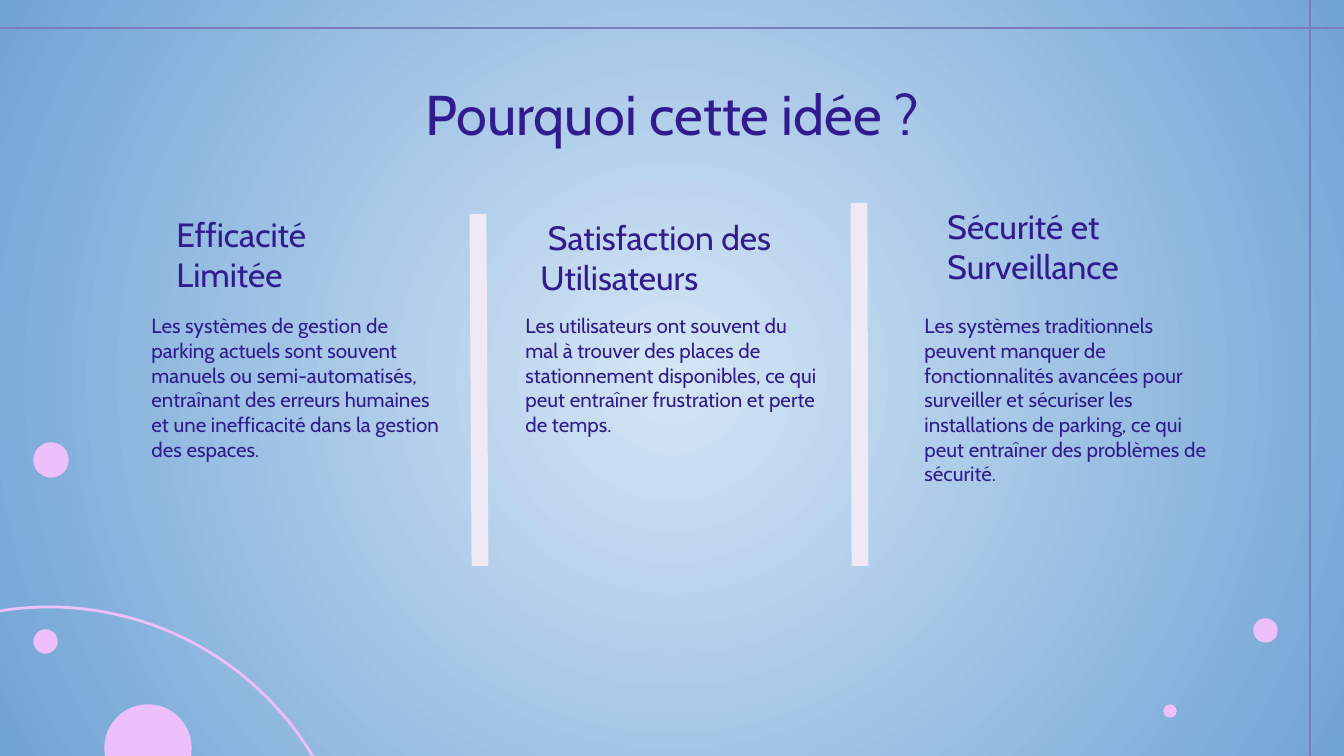
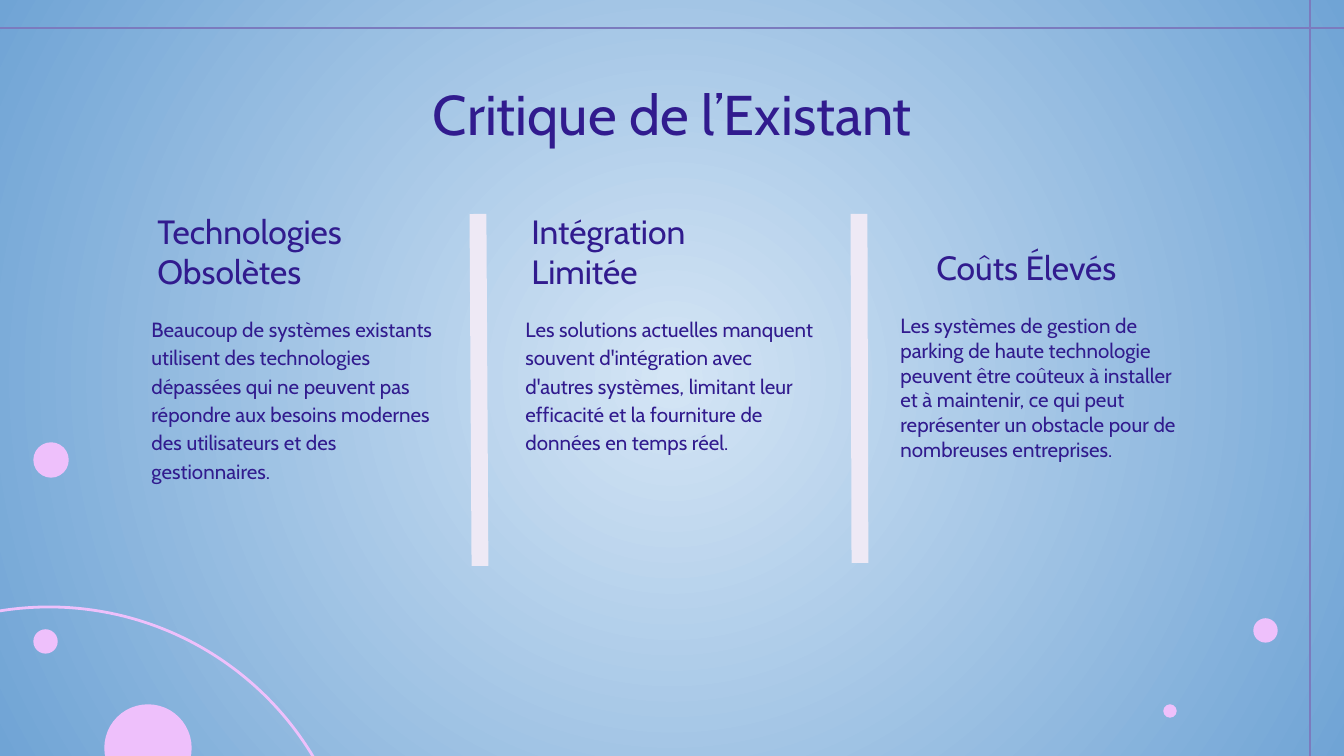
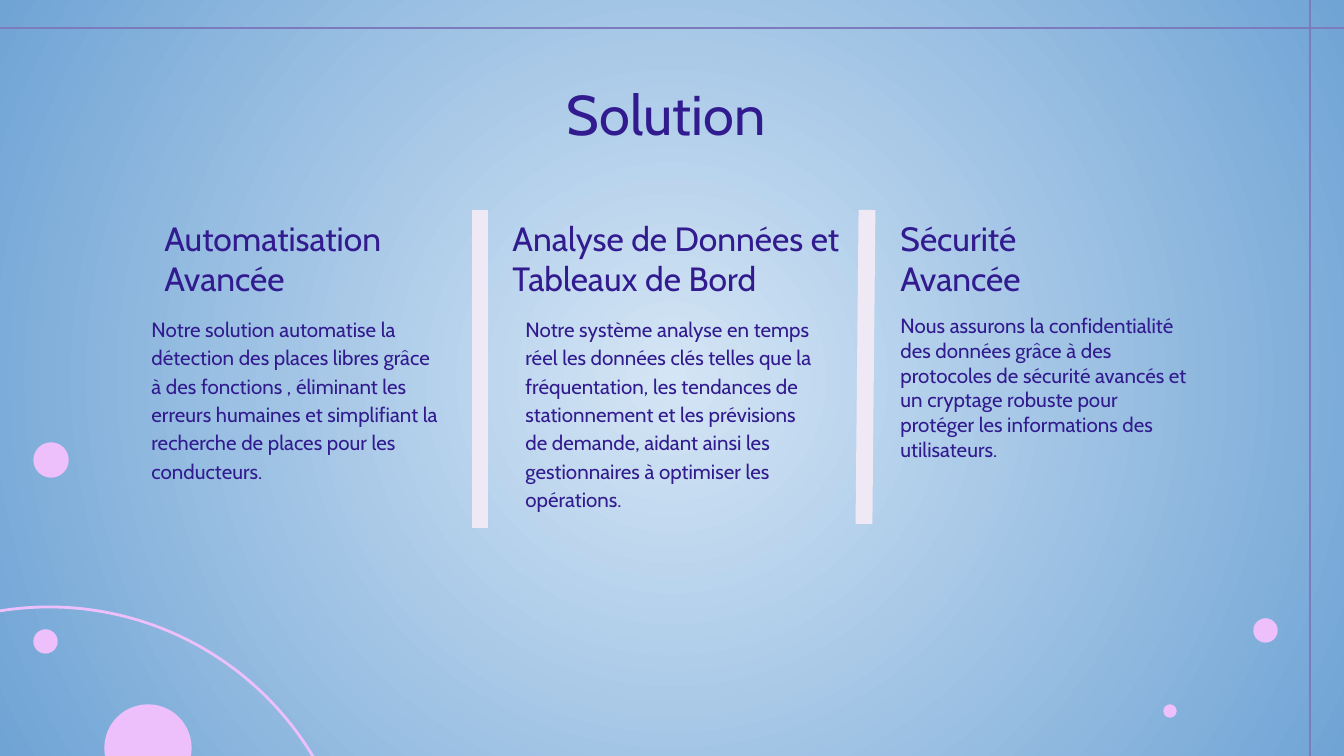
import copy
from dataclasses import dataclass

import pptx
import pptx.dml.color
import pptx.enum.shapes
import pptx.enum.text
import pptx.oxml
import pptx.oxml.ns
import pptx.util


@dataclass(frozen=True)
class Theme:
    font: str = "Cabin"
    ink: str = "311B8E"
    pink: str = "EEC0FB"
    frame: str = "7B7BBE"
    rule: str = "EEE9F5"
    inner: str = "D4E5F5"
    outer: str = "70A4D5"
    title: int = 30
    head: int = 18
    body: int = 11


theme = Theme()
rgb = pptx.dml.color.RGBColor.from_string
qn = pptx.oxml.ns.qn
Pt = pptx.util.Pt
anchors = pptx.enum.text.MSO_ANCHOR
aligns = pptx.enum.text.PP_ALIGN


def px(*sizes):
    return [round(size * 914400 / 134.4) for size in sizes]


def draw_line(slide, ends, color, width):
    kind = pptx.enum.shapes.MSO_CONNECTOR.STRAIGHT
    line = slide.shapes.add_connector(kind, *px(*ends))
    line.line.color.rgb = rgb(color)
    line.line.width = Pt(width)
    pptx.oxml.ns  # namespaces come from the library
    line.element.spPr.append(line.element.spPr.makeelement(qn("a:effectLst"), {}))
    return line


# Each column: heading, its box, text, left edge, height, line spacing
pages = [
    ("Pourquoi cette idée ?",
     [(478, 214, 480, 566), (859, 203, 860, 566)],
     [("Efficacité Limitée", (163, 216, 208, 92),
       "Les systèmes de gestion de parking actuels sont souvent manuels ou "
       "semi-automatisés, entraînant des erreurs humaines et une inefficacité "
       "dans la gestion des espaces.", 138, 297, 1.0),
      (" Satisfaction des Utilisateurs", (527, 214, 261, 97),
       "Les utilisateurs ont souvent du mal à trouver des places de "
       "stationnement disponibles, ce qui peut entraîner frustration et perte "
       "de temps.", 512, 297, 1.0),
      ("Sécurité et Surveillance", (934, 203, 227, 97),
       "Les systèmes traditionnels peuvent manquer de fonctionnalités avancées "
       "pour surveiller et sécuriser les installations de parking, ce qui peut "
       "entraîner des problèmes de sécurité.", 911, 297, 1.0)]),
    ("Critique de l’Existant",
     [(478, 214, 480, 566), (859, 214, 860, 563)],
     [("Technologies Obsolètes", (144, 203, 238, 102),
       "Beaucoup de systèmes existants utilisent des technologies dépassées qui "
       "ne peuvent pas répondre aux besoins modernes des utilisateurs et des "
       "gestionnaires.", 138, 297, 1.15),
      ("Intégration Limitée", (518, 203, 232, 102),
       "Les solutions actuelles manquent souvent d'intégration avec d'autres "
       "systèmes, limitant leur efficacité et la fourniture de données en temps "
       "réel.", 512, 297, 1.15),
      ("Coûts Élevés", (923, 199, 212, 102),
       "Les systèmes de gestion de parking de haute technologie peuvent être "
       "coûteux à installer et à maintenir, ce qui peut représenter un obstacle "
       "pour de nombreuses entreprises.", 887, 297, 1.0)]),
    ("Solution ",
     [(480, 210, 480, 528), (867, 210, 864, 524)],
     [("Automatisation Avancée", (151, 210, 263, 102),
       "Notre solution automatise la détection des places libres grâce à des "
       "fonctions , éliminant les erreurs humaines et simplifiant la recherche "
       "de places pour les conducteurs.", 138, 297, 1.15),
      ("Analyse de Données et Tableaux de Bord", (499, 245, 375, 67),
       "Notre système analyse en temps réel les données clés telles que la "
       "fréquentation, les tendances de stationnement et les prévisions de "
       "demande, aidant ainsi les gestionnaires à optimiser les opérations.",
       512, 456, 1.15),
      ("Sécurité Avancée", (887, 245, 241, 67),
       "Nous assurons la confidentialité des données grâce à des protocoles de "
       "sécurité avancés et un cryptage robuste pour protéger les informations "
       "des utilisateurs.", 887, 297, 1.0)]),
]

deck = pptx.Presentation()
deck.slide_width, deck.slide_height = px(1344, 756)

# Layout: a title and six text placeholders, numbered 1 to 6
layout = deck.slide_layouts[4]
tree = layout.shapes.element
base = None
for holder in list(layout.placeholders):
    number = holder.placeholder_format.idx
    if number == 1:
        base = holder.element
    elif number in (2, 3, 4):
        tree.remove(holder.element)
for number in range(2, 7):
    clone = copy.deepcopy(base)
    clone.find(".//" + qn("p:ph")).set("idx", str(number))
    tree.append(clone)

# Radial background
fill = layout.background.fill
fill.gradient()
for stop, color, place in zip(fill.gradient_stops, (theme.inner, theme.outer), (0, 1)):
    stop.color.rgb = rgb(color)
    stop.position = place
grad = layout.element.find(".//" + qn("a:gradFill"))
grad.remove(grad.find(qn("a:lin")))
grad.append(pptx.oxml.parse_xml(
    '<a:path xmlns:a="http://schemas.openxmlformats.org/drawingml/2006/main" path="circle">'
    '<a:fillToRect l="50000" t="50000" r="50000" b="50000"/></a:path>'))

# Slides
for title, rules, columns in pages:
    slide = deck.slides.add_slide(layout)
    parts = [(0, title, (106, 66, 1133, 85), theme.title, anchors.TOP, aligns.CENTER, 1.0)]
    for col, (head, area, body, left, height, space) in enumerate(columns):
        parts.append((2 * col + 1, head, area, theme.head,
                      anchors.BOTTOM, aligns.LEFT, 1.0))
        parts.append((2 * col + 2, body, (left, 300, 320, height), theme.body,
                      anchors.TOP, aligns.LEFT, space))
    for number, text, area, size, anchor, align, space in parts:
        holder = slide.placeholders[number]
        holder.left, holder.top, holder.width, holder.height = px(*area)
        frame = holder.text_frame
        frame.text = text
        frame.word_wrap = True
        frame.auto_size = pptx.enum.text.MSO_AUTO_SIZE.NONE
        frame.vertical_anchor = anchor
        frame.margin_left = frame.margin_right = pptx.util.Inches(0.1)
        frame.margin_top = frame.margin_bottom = pptx.util.Inches(0.1)
        para = frame.paragraphs[0]
        para.alignment = align
        para.line_spacing = space
        para.space_before = Pt(0)
        font = para.runs[0].font
        font.name = theme.font
        font.size = Pt(size)
        font.bold = False
        font.color.rgb = rgb(theme.ink)
    for ends in rules:
        draw_line(slide, ends, theme.rule, 9)

# Shared frame lines, ring and dots, moved into the layout
first = deck.slides[0]
art = [draw_line(first, ends, theme.frame, 1.5)
       for ends in ((1310, 756, 1310, 0), (0, 28, 1344, 28))]
rounds = [(-259, 607, 616, False), (34, 630, 23, True), (105, 705, 86, True),
          (34, 443, 34, True), (1254, 619, 23, True), (1164, 705, 12, True)]
for left, top, size, solid in rounds:
    dot = first.shapes.add_shape(pptx.enum.shapes.MSO_SHAPE.OVAL,
                                 *px(left, top, size, size))
    dot.shadow.inherit = False
    dot.line.color.rgb = rgb(theme.pink)
    dot.line.width = Pt(0.75 if solid else 1.5)
    if solid:
        dot.fill.solid()
        dot.fill.fore_color.rgb = rgb(theme.pink)
    else:
        dot.fill.background()
    art.append(dot)
for place, shape in enumerate(art, 2):
    tree.insert(place, shape.element)
for number, node in enumerate(tree.iter(qn("p:cNvPr")), 1):
    node.set("id", str(number))

deck.save("out.pptx")
